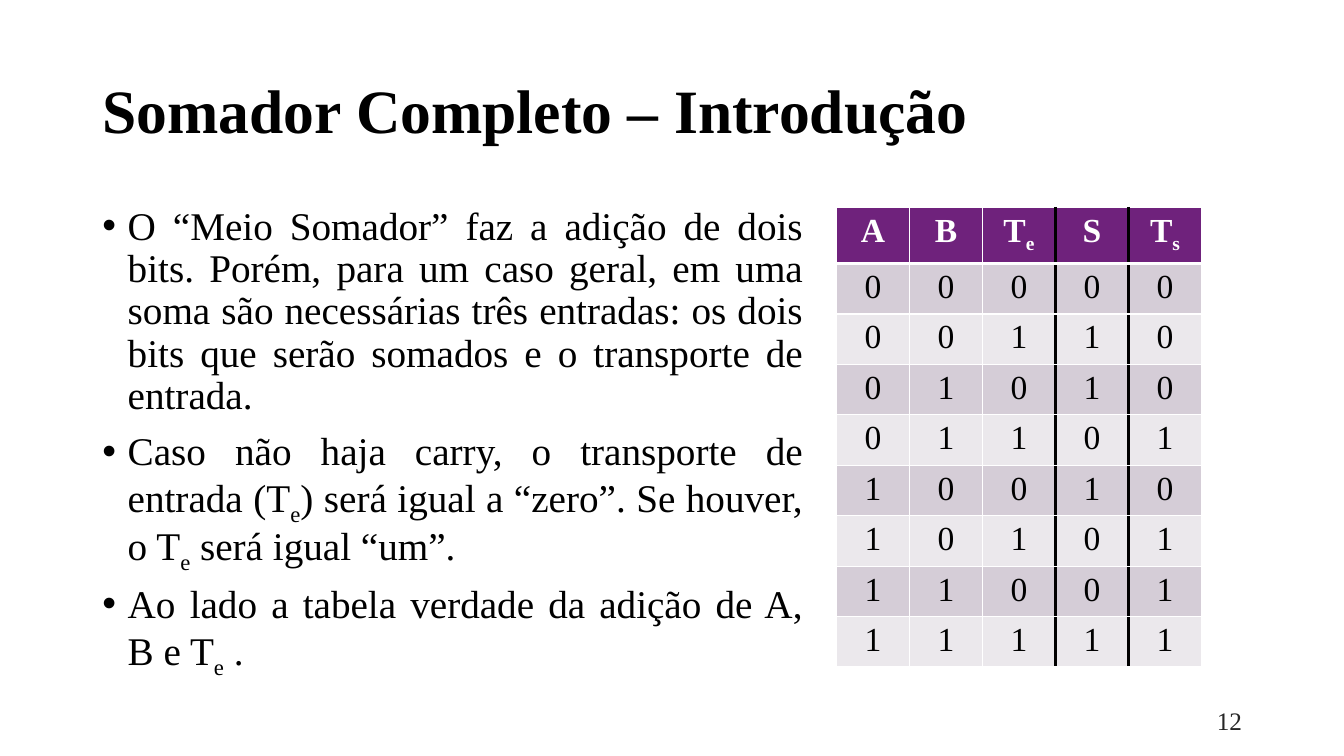
"""Build the full adder introduction slide with its truth table."""
from itertools import product
from lxml.etree import SubElement
from pptx import Presentation
from pptx.dml.color import RGBColor
from pptx.enum.text import MSO_ANCHOR, PP_ALIGN
from pptx.oxml.ns import qn
from pptx.util import Cm, Pt

COLORS = {"black": "000000", "white": "FFFFFF", "purple": "6F227C",
          "dark_band": "D5CDD7", "light_band": "EBE8EC", "number": "262626"}
FONT = "Times New Roman"


def write(para, text, size, color, bold=False):
    """Fill a paragraph; pieces between underscores become subscripts."""
    for index, piece in enumerate(text.split("_")):
        span = para.add_run()
        span.text = piece
        span.font.name = FONT
        span.font.size = Pt(size)
        span.font.bold = bold
        span.font.color.rgb = RGBColor.from_string(COLORS[color])
        if index % 2:
            span.font._element.set("baseline", "-25000")


def add_text_box(left, top, width, height, anchor):
    """Add a wrapping text box and return its text frame."""
    box = page.shapes.add_textbox(Cm(left), Cm(top), Cm(width), Cm(height))
    box.text_frame.word_wrap = True
    box.text_frame.vertical_anchor = anchor
    return box.text_frame


deck = Presentation()
deck.slide_width, deck.slide_height = Cm(33.87), Cm(19.05)
page = deck.slides.add_slide(deck.slide_layouts[6])

title = add_text_box(2.33, 1.01, 29.21, 3.68, MSO_ANCHOR.MIDDLE).paragraphs[0]
title.line_spacing = 0.9
write(title, "Somador Completo – Introdução", 44, "black", True)

points = [
    "O “Meio Somador” faz a adição de dois bits. Porém, para um caso geral, em uma soma "
    "são necessárias três entradas: os dois bits que serão somados e o transporte de entrada.",
    "Caso não haja carry, o transporte de entrada (T_e_) será igual a “zero”. "
    "Se houver, o T_e_ será igual “um”.",
    "Ao lado a tabela verdade da adição de A, B e T_e_ .",
]
body = add_text_box(2.33, 5.07, 18.16, 12.09, MSO_ANCHOR.TOP)
for index, point in enumerate(points):
    para = body.add_paragraph() if index else body.paragraphs[0]
    para.alignment = PP_ALIGN.JUSTIFY
    para.line_spacing = 0.9
    para.space_before = Pt(10)
    properties = para._p.get_or_add_pPr()
    properties.set("marL", str(Cm(0.64)))
    properties.set("indent", str(Cm(-0.64)))
    SubElement(properties, qn("a:buFont"), typeface="Arial")
    SubElement(properties, qn("a:buChar"), char="•")
    write(para, point, 28, "black")

rows = [["A", "B", "T_e_", "S", "T_s_"]]
for a, b, carry in product((0, 1), repeat=3):
    total = a + b + carry
    rows.append([str(bit) for bit in (a, b, carry, total % 2, total // 2)])

table = page.shapes.add_table(len(rows), 5, Cm(21.08), Cm(5.23), Cm(9.2), Cm(9.36)).table
for column in table.columns:
    column.width = Cm(1.84)
for row_index, row in enumerate(rows):
    table.rows[row_index].height = Cm(1.04)
    header = row_index == 0
    band = "purple" if header else "dark_band" if row_index % 2 else "light_band"
    for column_index, text in enumerate(row):
        cell = table.cell(row_index, column_index)
        cell.fill.solid()
        cell.fill.fore_color.rgb = RGBColor.from_string(COLORS[band])
        para = cell.text_frame.paragraphs[0]
        para.alignment = PP_ALIGN.CENTER
        write(para, text, 24, "white" if header else "black", header)
        borders = {
            "lnL": ("black", 3) if column_index in (3, 4) else ("white", 1),
            "lnR": ("black", 3) if column_index in (2, 3) else ("white", 1),
            "lnT": ("white", 3 if row_index == 1 else 1),
            "lnB": ("white", 3 if header else 1),
        }
        if column_index == 1:
            del borders["lnR"]
        if column_index == 2:
            del borders["lnL"]
        cell_properties = cell._tc.get_or_add_tcPr()
        for position, (side, (color, width)) in enumerate(borders.items()):
            line = cell_properties.makeelement(qn(f"a:{side}"), w=str(Pt(width)))
            fill = SubElement(line, qn("a:solidFill"))
            SubElement(fill, qn("a:srgbClr"), val=COLORS[color])
            cell_properties.insert(position, line)

number = add_text_box(23.93, 17.66, 7.62, 1.01, MSO_ANCHOR.MIDDLE).paragraphs[0]
number.alignment = PP_ALIGN.RIGHT
write(number, "12", 18, "number")

deck.save("out.pptx")
